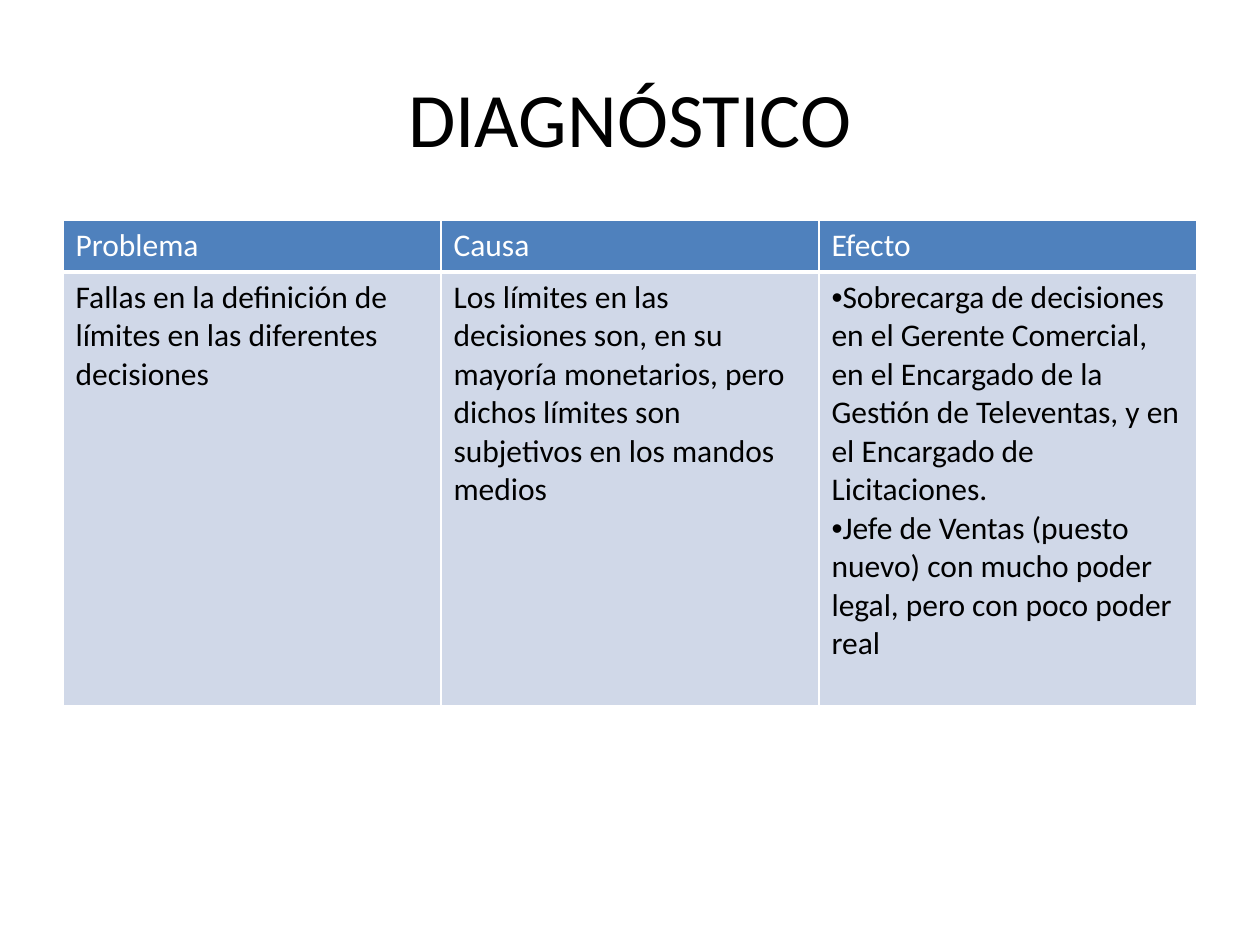
from lxml.etree import SubElement
from pptx import Presentation
from pptx.dml.color import RGBColor
from pptx.enum.text import MSO_ANCHOR, PP_ALIGN
from pptx.oxml.ns import qn
from pptx.util import Inches, Pt

HEADERS = ["Problema", "Causa", "Efecto"]
DETAILS = [
    ["Fallas en la definición de límites en las diferentes decisiones"],
    ["Los límites en las decisiones son, en su mayoría monetarios, pero "
     "dichos límites son subjetivos en los mandos medios"],
    ["Sobrecarga de decisiones en el Gerente Comercial, en el Encargado de la "
     "Gestión de Televentas, y en el Encargado de Licitaciones.",
     "Jefe de Ventas (puesto nuevo) con mucho poder legal, pero con poco poder real"],
]
HEADER_STYLE = {"fill": "4F81BD", "color": "FFFFFF", "top": 1, "bottom": 3}
DETAIL_STYLE = {"fill": "D0D8E8", "color": "000000", "top": 3, "bottom": 1}


def rgb(value):
    return RGBColor.from_string(value)


def write_text(paragraph, text, size, color):
    run = paragraph.add_run()
    run.text = text
    formats = {"name": "Calibri", "size": Pt(size), "bold": False}
    for name, value in formats.items():
        setattr(run.font, name, value)
    run.font.color.rgb = rgb(color)


def add_bullet(paragraph):
    properties = paragraph._p.get_or_add_pPr()
    properties.set("marL", "0")
    properties.set("indent", "0")
    SubElement(properties, qn("a:buFont"), typeface="Arial")
    SubElement(properties, qn("a:buChar"), char="•")


def add_borders(cell, top, bottom):
    properties = cell._tc.get_or_add_tcPr()
    widths = {"a:lnL": 1, "a:lnR": 1, "a:lnT": top, "a:lnB": bottom}
    for tag, width in widths.items():
        line = SubElement(properties, qn(tag), w=str(Pt(width)))
        fill = SubElement(line, qn("a:solidFill"))
        SubElement(fill, qn("a:srgbClr"), val="FFFFFF")


def fill_cell(cell, texts, style):
    add_borders(cell, style["top"], style["bottom"])
    cell.fill.solid()
    cell.fill.fore_color.rgb = rgb(style["fill"])
    frame = cell.text_frame
    for index, text in enumerate(texts):
        paragraph = frame.add_paragraph() if index else frame.paragraphs[0]
        if len(texts) > 1:
            add_bullet(paragraph)
        write_text(paragraph, text, 18, style["color"])


def add_title(slide, text):
    shape = slide.shapes.add_textbox(Inches(0.5), Inches(0.3), Inches(9), Inches(1.25))
    formats = {"word_wrap": True, "vertical_anchor": MSO_ANCHOR.MIDDLE}
    for name, value in formats.items():
        setattr(shape.text_frame, name, value)
    paragraph = shape.text_frame.paragraphs[0]
    paragraph.alignment = PP_ALIGN.CENTER
    write_text(paragraph, text, 44, "000000")


def add_diagnosis_table(slide):
    table = slide.shapes.add_table(
        2, len(HEADERS), Inches(0.5), Inches(1.75), Inches(9), Inches(3.85)
    ).table
    for row, height in zip(table.rows, (0.41, 3.44)):
        row.height = Inches(height)
    for column, (header, details) in enumerate(zip(HEADERS, DETAILS)):
        fill_cell(table.cell(0, column), [header], HEADER_STYLE)
        fill_cell(table.cell(1, column), details, DETAIL_STYLE)


def main():
    presentation = Presentation()
    presentation.slide_width = Inches(10)
    presentation.slide_height = Inches(7.5)
    slide = presentation.slides.add_slide(presentation.slide_layouts[6])
    add_title(slide, "DIAGNÓSTICO")
    add_diagnosis_table(slide)
    presentation.save("out.pptx")


main()
